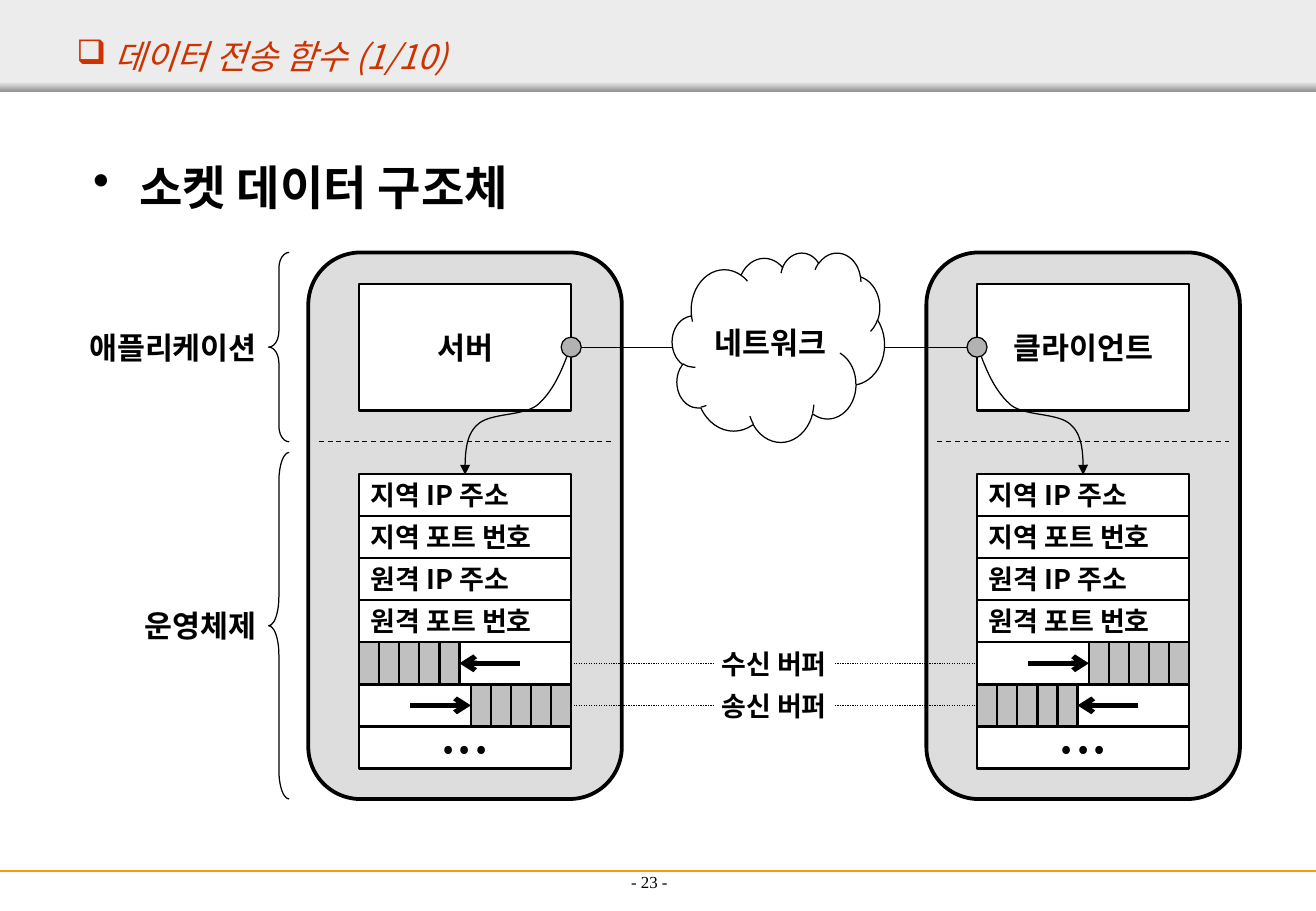
from lxml import etree
from pptx import Presentation
from pptx.dml.color import RGBColor
from pptx.enum.dml import MSO_LINE
from pptx.enum.shapes import MSO_CONNECTOR, MSO_SHAPE
from pptx.enum.text import MSO_ANCHOR, PP_ALIGN
from pptx.oxml.ns import qn
from pptx.util import Cm, Pt

BLACK = RGBColor(0x00, 0x00, 0x00)
WHITE = RGBColor(0xFF, 0xFF, 0xFF)
PALE = RGBColor(0xEC, 0xEC, 0xEC)
SHADE = RGBColor(0x97, 0x97, 0x97)
PANEL = RGBColor(0xDD, 0xDD, 0xDD)
CELL = RGBColor(0xC0, 0xC0, 0xC0)
PORT = RGBColor(0xB2, 0xB2, 0xB2)
RED = RGBColor(0xCC, 0x33, 0x00)
ORANGE = RGBColor(0xFF, 0x99, 0x00)

RECT, ROUND, OVAL = MSO_SHAPE.RECTANGLE, MSO_SHAPE.ROUNDED_RECTANGLE, MSO_SHAPE.OVAL
CLOUD, BRACE = MSO_SHAPE.CLOUD, MSO_SHAPE.LEFT_BRACE
STRAIGHT = MSO_CONNECTOR.STRAIGHT
DASH, DOT = MSO_LINE.DASH, MSO_LINE.ROUND_DOT
LEFT, MID, RIGHT = PP_ALIGN.LEFT, PP_ALIGN.CENTER, PP_ALIGN.RIGHT
TOP, MIDDLE, BOTTOM = MSO_ANCHOR.TOP, MSO_ANCHOR.MIDDLE, MSO_ANCHOR.BOTTOM

SANS, SERIF = "Noto Sans CJK KR", "Times New Roman"
PAGE_W, PAGE_H = 27.53, 19.05
HOST_W, HOST_H = 6.56, 11.43
PAD, INNER = 1.06, 4.44
SPLIT = 3.96            # height of the application part of a host
ROW_TOP, ROW = 4.63, 0.88
UNIT, CELLS = 0.42, 5   # width and number of buffer cells
PORT_Y = 1.98
FIELDS = ["지역 IP 주소", "지역 포트 번호", "원격 IP 주소", "원격 포트 번호"]
BUFFERS = ["수신 버퍼", "송신 버퍼"]
CURVE = [(5.41, 2.18), (5.26, 2.57), (5.08, 2.95), (4.78, 3.2),
         (4.47, 3.43), (3.78, 3.35), (3.53, 3.61),
         (3.28, 3.84), (3.28, 4.24), (3.28, 4.65)]


def row_y(index):
    return ROW_TOP + index * ROW


def write(shape, text, size, color=BLACK, align=MID, anchor=MIDDLE,
          font=SANS, bold=True, italic=False):
    frame = shape.text_frame
    frame.word_wrap = True
    frame.vertical_anchor = anchor
    frame.text = text
    para = frame.paragraphs[0]
    para.alignment = align
    run = para.runs[0]
    face = run.font
    face.size, face.bold, face.italic, face.name = Pt(size), bold, italic, font
    face.color.rgb = color
    etree.SubElement(run.font._element, qn("a:ea")).set("typeface", font)
    return para


def label(slide, box, text, size, **style):
    area = slide.shapes.add_textbox(*map(Cm, box))
    return write(area, text, size, **style)


def bullet(para, mark, indent, color):
    props = para._p.get_or_add_pPr()
    props.set("marL", str(Cm(indent)))
    props.set("indent", str(-Cm(indent)))
    tint = etree.SubElement(props, qn("a:buClr"))
    etree.SubElement(tint, qn("a:srgbClr")).set("val", str(color))
    etree.SubElement(props, qn("a:buChar")).set("char", mark)


def block(slide, kind, box, fill=WHITE, width=1.5):
    """Add a preset shape; no fill or no outline when None is given."""
    shape = slide.shapes.add_shape(kind, *map(Cm, box))
    shape.shadow.inherit = False
    if fill is None:
        shape.fill.background()
    else:
        shape.fill.solid()
        shape.fill.fore_color.rgb = fill
    if width is None:
        shape.line.fill.background()
    else:
        shape.line.color.rgb = BLACK
        shape.line.width = Pt(width)
    return shape


def tip(shape, kind):
    """Put an arrowhead at the end of a line."""
    line = shape.line._get_or_add_ln()
    etree.SubElement(line, qn("a:tailEnd")).set("type", kind)


def rule(slide, start, end, width=0.75, color=BLACK, dash=None):
    line = slide.shapes.add_connector(STRAIGHT, *map(Cm, start + end))
    line.line.color.rgb = color
    line.line.width = Pt(width)
    if dash is not None:
        line.line.dash_style = dash
    etree.SubElement(line._element.spPr, qn("a:effectLst"))
    return line


def trace(points, steps=16):
    """Follow a chain of cubic curves, yielding points along it."""
    yield points[0]
    for first in range(0, len(points) - 1, 3):
        part = points[first:first + 4]
        for step in range(1, steps + 1):
            t = step / steps
            mix = ((1 - t) ** 3, 3 * t * (1 - t) ** 2, 3 * t * t * (1 - t), t ** 3)
            yield tuple(sum(m * p[axis] for m, p in zip(mix, part)) for axis in (0, 1))


def header(slide, box, title):
    left, top, width, height = box
    block(slide, RECT, box, PALE, None)
    edge = block(slide, RECT, (left, top + height - 0.2, width, 0.2), PALE, None)
    edge.fill.gradient()
    edge.fill.gradient_angle = 270
    for stop, color in zip(edge.fill.gradient_stops, (PALE, SHADE)):
        stop.color.rgb = color
    para = label(slide, (left + 1.35, top + 0.64, width - 1.35, 1.07), title, 20,
                 color=RED, align=LEFT, bold=False, italic=True)
    bullet(para, "❑", 0.8, RED)


def footer(slide, box, text):
    left, top, width, height = box
    rule(slide, (left, top), (left + width, top), 1.5, ORANGE)
    label(slide, (left + 9.37, top - 0.71, 8.43, 1.27), text, 10,
          anchor=BOTTOM, font=SERIF, bold=False)


def host(slide, left, top, name, flip):
    """Draw one computer; flip mirrors it so that its port faces left."""
    def place(x, y, width, height):
        x = HOST_W - x - width if flip else x
        return left + x, top + y, width, height

    def spot(x, y):
        return place(x, y, 0, 0)[:2]

    block(slide, ROUND, place(0, 0, HOST_W, HOST_H), PANEL, 2.25)
    write(block(slide, RECT, place(PAD, 0.66, INNER, 2.65)), name, 18)
    rule(slide, spot(0.22, SPLIT), spot(HOST_W - 0.22, SPLIT), dash=DASH)
    for index, text in enumerate(FIELDS + [None, None, "• • •"]):
        row = block(slide, RECT, place(PAD, row_y(index), INNER, ROW))
        if text:
            write(row, text, 16, align=LEFT if text in FIELDS else MID)
    span = CELLS * UNIT
    for index, start, edge, way in ((4, PAD, PAD + span, 1),
                                    (5, PAD + INNER - span, PAD + INNER - span, -1)):
        y = row_y(index)
        for cell in range(CELLS):
            block(slide, RECT, place(start + cell * UNIT, y, UNIT, ROW), CELL)
        y += ROW / 2
        tip(rule(slide, spot(edge + way * 1.27, y), spot(edge, y), 3), "arrow")
    block(slide, OVAL, place(PAD + INNER - UNIT / 2, PORT_Y - UNIT / 2, UNIT, UNIT),
          PORT, 0.75)
    points = [tuple(map(Cm, spot(x, y))) for x, y in trace(CURVE)]
    path = slide.shapes.build_freeform(*points[0])
    path.add_line_segments(points[1:], close=False)
    curve = path.convert_to_shape()
    curve.shadow.inherit = False
    curve.fill.background()
    curve.line.color.rgb = BLACK
    curve.line.width = Pt(0.75)
    tip(curve, "triangle")


def layer(slide, right, top, height, name):
    """Name a part of the hosts with a brace to the left of it."""
    width = 0.43
    brace = block(slide, BRACE, (right - width, top, width, height), None, 0.75)
    brace.adjustments[0] = height / 12 / width
    label(slide, (right - width - 4.6, top + height / 2 - 0.44, 4.6, 0.88),
          name, 18, align=RIGHT)


def network(slide, left, right, top):
    """Join the two hosts between the edges of their inner boxes."""
    mid = (left + right) / 2
    y = top + PORT_Y
    rule(slide, (left + UNIT / 2, y), (right - UNIT / 2, y))
    cloud = block(slide, CLOUD, (mid - 2.13, top, 4.44, SPLIT), WHITE, 0.75)
    write(cloud, "네트워크", 18)
    for index, name in enumerate(BUFFERS, len(FIELDS)):
        y = top + row_y(index)
        label(slide, (mid - 2.12, y, 4.24, ROW), name, 16)
        y += ROW / 2
        for start, end in ((left, mid - 1.27), (mid + 1.27, right)):
            rule(slide, (start, y), (end, y), dash=DOT)


def main():
    deck = Presentation()
    deck.slide_width, deck.slide_height = Cm(PAGE_W), Cm(PAGE_H)
    slide = deck.slides.add_slide(deck.slide_layouts[6])
    header(slide, (0, 0, PAGE_W, 1.91), "데이터 전송 함수 (1/10)")
    footer(slide, (0, 18.21, PAGE_W, 0.84), "- 23 -")
    para = label(slide, (1.7, 3.18, 24.13, 1.8), "소켓 데이터 구조체", 28,
                 align=LEFT, anchor=TOP)
    para.space_before = Pt(7)
    bullet(para, "•", 0.97, BLACK)

    top, server, client = 5.28, 6.45, 19.38
    host(slide, server, top, "서버", False)
    host(slide, client, top, "클라이언트", True)
    network(slide, server + PAD + INNER, client + PAD, top)
    layer(slide, server - 0.4, top, SPLIT, "애플리케이션")
    layer(slide, server - 0.4, top + 4.18, HOST_H - 4.18, "운영체제")
    deck.save("out.pptx")


if __name__ == "__main__":
    main()
